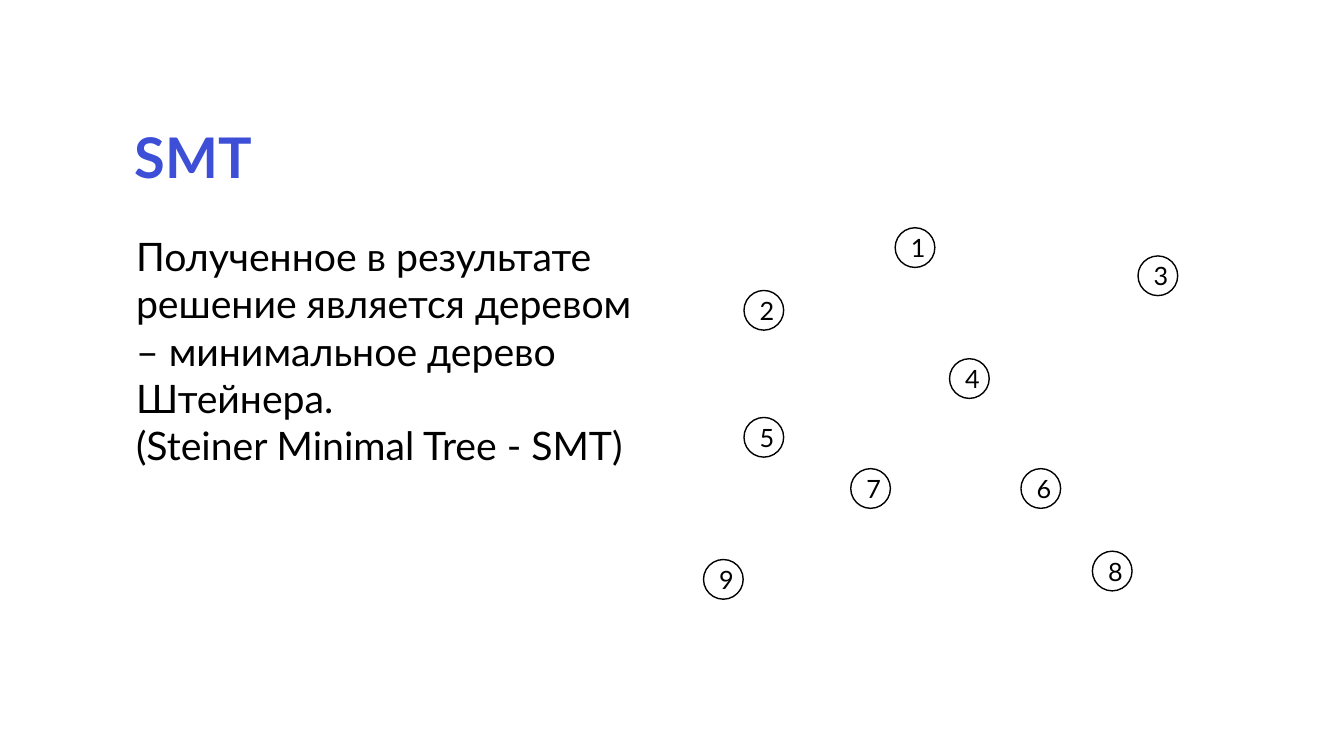
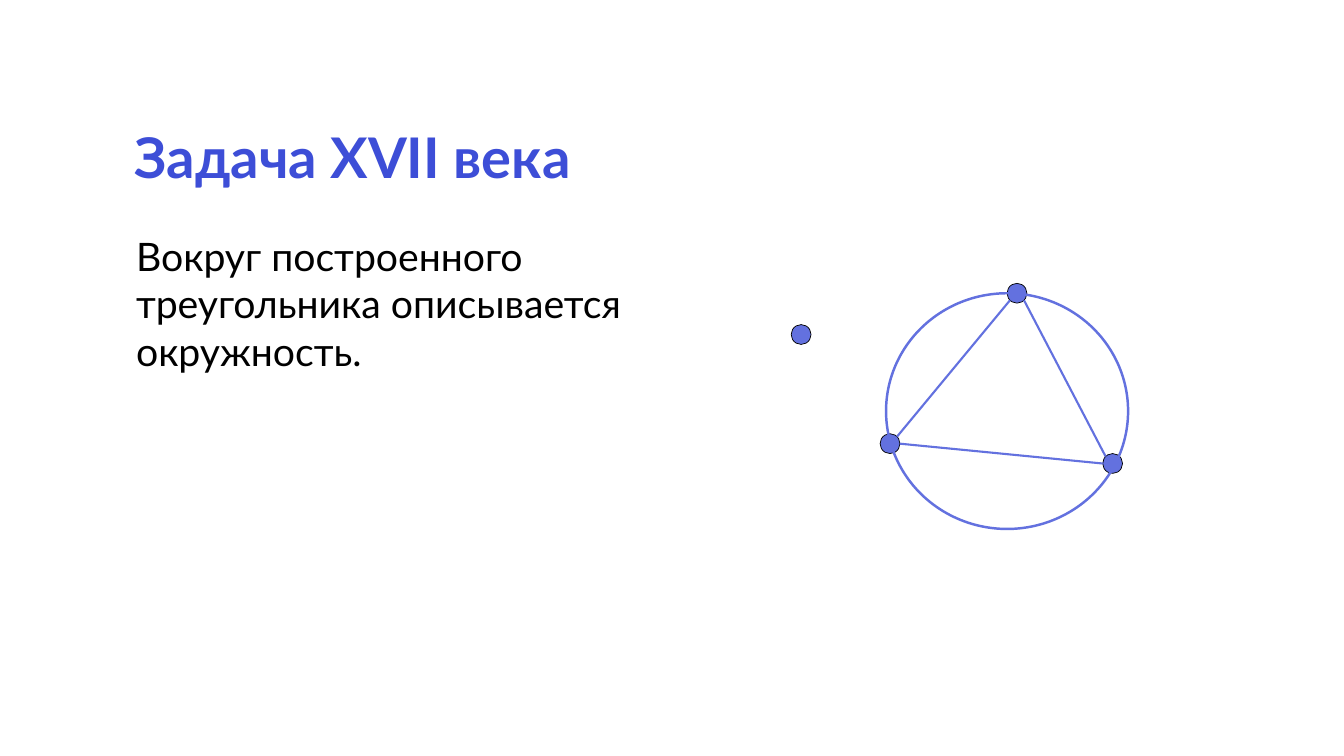
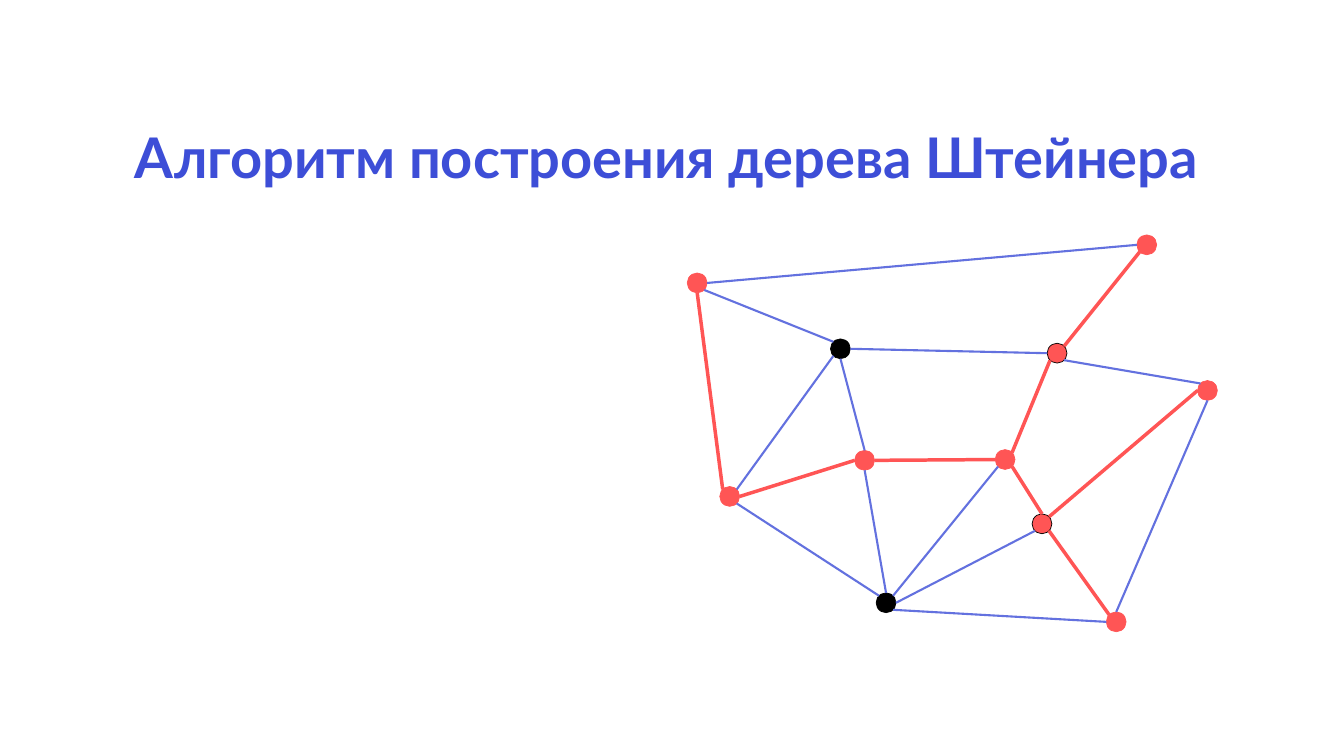
from math import sqrt

from lxml.etree import SubElement
from pptx import Presentation
from pptx.dml.color import RGBColor
from pptx.enum.shapes import MSO_CONNECTOR as Connector, MSO_SHAPE as Shape
from pptx.enum.text import MSO_AUTO_SIZE as AutoSize, PP_ALIGN as Align
from pptx.oxml.ns import qn
from pptx.util import Cm, Pt

INK, TITLE, BLUE, RED, WHITE = "000000", "3D4ED7", "6371DF", "FF5555", "FFFFFF"
TITLE_FONT = {"name": "Lato", "size": Pt(40), "bold": True}
BODY_FONT = {"name": "Lato", "size": Pt(28)}
NUMBER_FONT = {"name": "Lato", "size": Pt(18)}

NODE = 1
DOT = 0.5
SLANT = DOT / 2 / sqrt(2)
SITES = {
    "n": (0, -DOT / 2), "s": (0, DOT / 2), "w": (-DOT / 2, 0), "e": (DOT / 2, 0),
    "nw": (-SLANT, -SLANT), "ne": (SLANT, -SLANT),
    "sw": (-SLANT, SLANT), "se": (SLANT, SLANT),
}


def write(frame, lines, font, color):
    for index, line in enumerate(lines):
        para = frame.add_paragraph() if index else frame.paragraphs[0]
        span = para.add_run()
        span.text = line
        for name, value in font.items():
            setattr(span.font, name, value)
        span.font.color.rgb = RGBColor.from_string(color)


def add_oval(page, left, top, width, height, fill, line, weight):
    oval = page.shapes.add_shape(Shape.OVAL, Cm(left), Cm(top), Cm(width), Cm(height))
    oval.shadow.inherit = False
    if fill:
        oval.fill.solid()
        oval.fill.fore_color.rgb = RGBColor.from_string(fill)
    else:
        oval.fill.background()
    oval.line.color.rgb = RGBColor.from_string(line)
    oval.line.width = Pt(weight)
    return oval


deck = Presentation()
deck.slide_width, deck.slide_height = Cm(33.87), Cm(19.05)

slides = [
    ("SMT", [
        "Полученное в результате решение является деревом – минимальное дерево Штейнера.",
        "(Steiner Minimal Tree - SMT)",
    ], 6.25),
    ("Задача XVII века", [
        "Вокруг построенного треугольника описывается окружность.",
    ], 3.84),
    ("Алгоритм построения дерева Штейнера", [], 0),
]
pages = []
for title, body, height in slides:
    page = deck.slides.add_slide(deck.slide_layouts[6])
    pages.append(page)
    box = page.shapes.add_textbox(Cm(3.15), Cm(3.15), Cm(27.56), Cm(2.03))
    box.text_frame.word_wrap = True
    write(box.text_frame, [title], TITLE_FONT, TITLE)
    box.text_frame.paragraphs[0].line_spacing = 0.9
    if body:
        box = page.shapes.add_textbox(Cm(3.18), Cm(5.74), Cm(13.77), Cm(height))
        box.text_frame.word_wrap = True
        box.text_frame.auto_size = AutoSize.SHAPE_TO_FIT_TEXT
        write(box.text_frame, body, BODY_FONT, INK)

tree_page, circle_page, graph_page = pages

nodes = [
    (22.56, 5.74), (18.75, 7.32), (28.68, 6.45), (23.93, 9.04), (18.75, 10.52),
    (25.73, 11.81), (21.44, 11.81), (27.53, 13.89), (17.73, 14.1),
]
for number, (left, top) in enumerate(nodes, 1):
    node = add_oval(tree_page, left, top, NODE, NODE, WHITE, INK, 1)
    write(node.text_frame, [str(number)], NUMBER_FONT, INK)
    node.text_frame.paragraphs[0].alignment = Align.CENTER

triangle_dots = {
    "outer": (20.19, 8.43, BLUE, INK),
    "top": (25.63, 7.39, BLUE, INK),
    "left": (22.43, 11.18, BLUE, INK),
    "right": (28.04, 11.68, BLUE, INK),
}
triangle_edges = [
    ("right", "nw", "top", "se", BLUE),
    ("left", "ne", "top", "sw", BLUE),
    ("right", "w", "left", "e", BLUE),
]
graph_dots = {
    "A": (17.57, 7.13, RED, RED),
    "B": (26.64, 8.9, RED, INK),
    "C": (21.79, 11.6, RED, RED),
    "D": (21.18, 8.79, INK, INK),
    "E": (18.39, 12.51, RED, RED),
    "F": (30.43, 9.84, RED, RED),
    "G": (28.13, 15.67, RED, RED),
    "H": (26.26, 13.2, RED, INK),
    "I": (28.9, 6.17, RED, RED),
    "J": (25.33, 11.58, RED, RED),
    "K": (22.33, 15.19, INK, INK),
}
graph_edges = [
    ("D", "e", "B", "w", BLUE),
    ("C", "n", "D", "s", BLUE),
    ("D", "nw", "A", "se", BLUE),
    ("B", "se", "F", "nw", BLUE),
    ("D", "sw", "E", "ne", BLUE),
    ("G", "n", "F", "s", BLUE),
    ("A", "e", "I", "w", BLUE),
    ("K", "ne", "J", "sw", BLUE),
    ("E", "se", "K", "nw", BLUE),
    ("K", "se", "G", "w", BLUE),
    ("K", "e", "H", "sw", BLUE),
    ("C", "s", "K", "n", BLUE),
    ("B", "ne", "I", "sw", RED),
    ("H", "ne", "F", "w", RED),
    ("C", "e", "J", "w", RED),
    ("H", "se", "G", "nw", RED),
    ("A", "s", "E", "nw", RED),
    ("J", "ne", "B", "sw", RED),
    ("J", "se", "H", "n", RED),
    ("E", "e", "C", "w", RED),
]
edge_weights = {BLUE: 1.5, RED: 2.5}

for page, dots, edges in [
    (circle_page, triangle_dots, triangle_edges),
    (graph_page, graph_dots, graph_edges),
]:
    for x, y, fill, line in dots.values():
        add_oval(page, x - DOT / 2, y - DOT / 2, DOT, DOT, fill, line, 0.5)
    for start, start_site, end, end_site, color in edges:
        ends = []
        for dot, site in [(start, start_site), (end, end_site)]:
            x, y = dots[dot][:2]
            dx, dy = SITES[site]
            ends += [Cm(x + dx), Cm(y + dy)]
        edge = page.shapes.add_connector(Connector.STRAIGHT, *ends)
        edge.line.color.rgb = RGBColor.from_string(color)
        edge.line.width = Pt(edge_weights[color])
        SubElement(edge._element.spPr, qn("a:effectLst"))

add_oval(circle_page, 22.33, 7.39, 6.1, 5.94, None, BLUE, 1.75)

deck.save("out.pptx")
